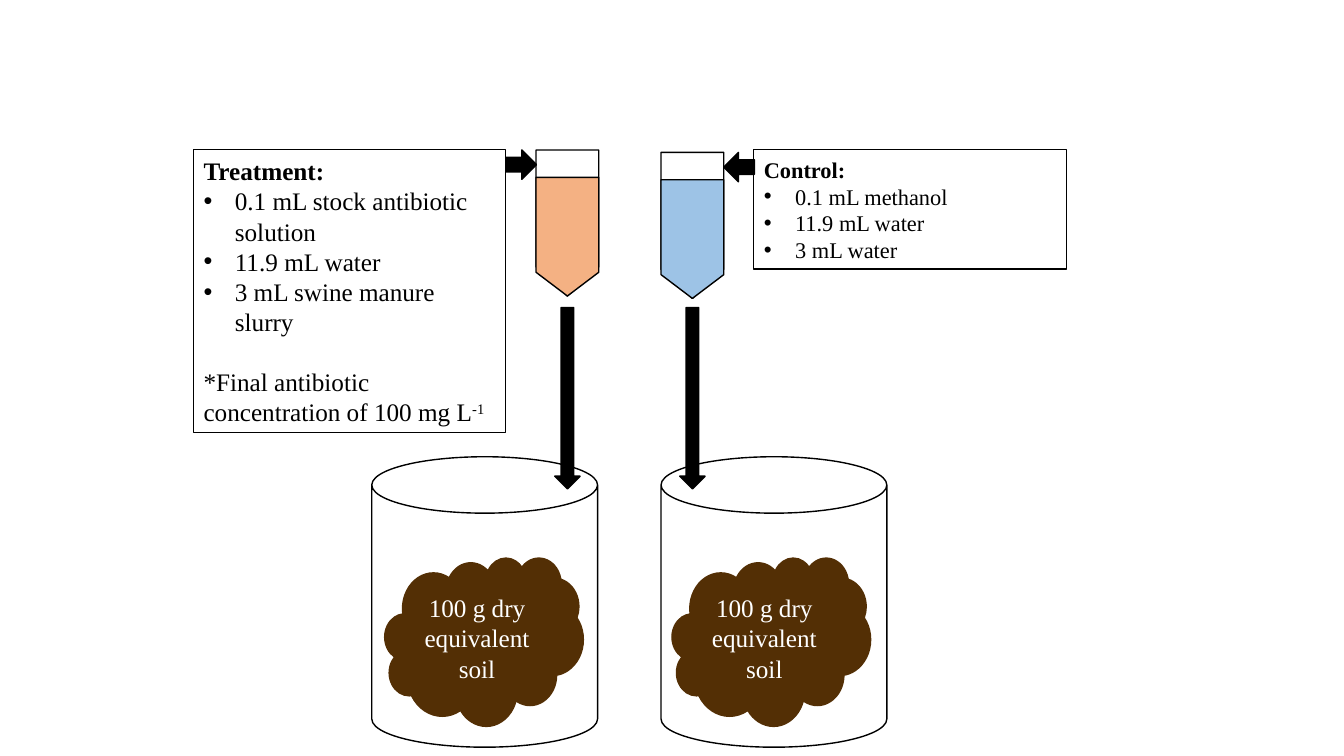
from dataclasses import dataclass

from lxml import etree
from pptx import Presentation
from pptx.dml.color import RGBColor
from pptx.enum.shapes import MSO_SHAPE
from pptx.enum.text import MSO_ANCHOR, MSO_AUTO_SIZE, PP_ALIGN
from pptx.oxml.ns import qn
from pptx.util import Cm, Pt

CAN, CLOUD, RECT = MSO_SHAPE.CAN, MSO_SHAPE.CLOUD, MSO_SHAPE.RECTANGLE
TUBE = MSO_SHAPE.FLOWCHART_OFFPAGE_CONNECTOR
RIGHT_ARROW, DOWN_ARROW = MSO_SHAPE.RIGHT_ARROW, MSO_SHAPE.DOWN_ARROW
MIDDLE, FIT_SHAPE = MSO_ANCHOR.MIDDLE, MSO_AUTO_SIZE.SHAPE_TO_FIT_TEXT
LEFT, CENTER = PP_ALIGN.LEFT, PP_ALIGN.CENTER


@dataclass(frozen=True)
class Theme:
    font: str = "Times New Roman"
    black: str = "000000"
    white: str = "FFFFFF"
    soil: str = "532F05"
    treatment: str = "F4B183"
    control: str = "9DC3E6"
    large: int = 18
    small: int = 16
    outline: float = 1
    box_outline: float = 0.75
    note_gap: int = 21


class Diagram:
    def __init__(self, slide, theme):
        self.slide, self.theme = slide, theme

    def shape(self, kind, left, top, width, height, fill, line=None, weight=None):
        shape = self.slide.shapes.add_shape(
            kind, Cm(left), Cm(top), Cm(width), Cm(height))
        shape.shadow.inherit = False
        shape.fill.solid()
        shape.fill.fore_color.rgb = RGBColor.from_string(fill)
        shape.line.color.rgb = RGBColor.from_string(line or self.theme.black)
        shape.line.width = Pt(weight or self.theme.outline)
        return shape

    def label(self, shape, lines, size, color, align, bullets=()):
        """Add one paragraph per line and return the paragraphs."""
        frame = shape.text_frame
        frame.word_wrap = True
        frame.vertical_anchor = MIDDLE
        for index, line in enumerate(lines):
            paragraph = frame.add_paragraph() if index else frame.paragraphs[0]
            paragraph.add_run().text = line
            paragraph.alignment = align
            if index in bullets:
                self.bullet(paragraph)
            paragraph.font.name = self.theme.font
            paragraph.font.size = Pt(size)
            paragraph.font.color.rgb = RGBColor.from_string(color)
        return frame.paragraphs

    def bullet(self, paragraph):
        properties = paragraph._p.get_or_add_pPr()
        properties.set("marL", str(Cm(0.79)))
        properties.set("indent", str(-Cm(0.79)))
        etree.SubElement(properties, qn("a:buFont"), typeface="Arial")
        etree.SubElement(properties, qn("a:buChar"), char="•")

    def beaker(self, left, soil_left):
        theme = self.theme
        self.shape(CAN, left, 11.51, 5.69, 7.32, theme.white)
        soil = self.shape(CLOUD, soil_left, 14.05, 5, 4.24, theme.soil, theme.soil)
        self.label(soil, ["100 g dry equivalent", "soil"],
                   theme.large, theme.white, CENTER)

    def tube(self, left, top, liquid):
        self.shape(TUBE, left, top, 1.58, 3.68, self.theme.white)
        self.shape(TUBE, left, top + 0.69, 1.58, 2.99, liquid)
        # Pouring arrow below the tip
        self.shape(DOWN_ARROW, left + 0.47, 7.75, 0.64, 4.57, self.theme.black)

    def recipe(self, left, height, heading, items, size, note=None):
        theme = self.theme
        box = self.shape(RECT, left, 3.78, 7.87, height, theme.white,
                         weight=theme.box_outline)
        lines = [heading, *items] + ([note[0]] if note else [])
        paragraphs = self.label(box, lines, size, theme.black, LEFT,
                                range(1, len(items) + 1))
        box.text_frame.auto_size = FIT_SHAPE
        paragraphs[0].font.bold = True
        if note:
            paragraphs[-1].space_before = Pt(theme.note_gap)
            exponent = paragraphs[-1].add_run()
            exponent.text = note[1]
            exponent._r.get_or_add_rPr().set("baseline", "30000")

    def feed_arrow(self, left, top, rotation=0):
        arrow = self.shape(RIGHT_ARROW, left, top, 0.77, 0.74, self.theme.black)
        arrow.rotation = rotation


def main():
    presentation = Presentation()
    presentation.slide_width, presentation.slide_height = Cm(33.87), Cm(19.05)
    theme = Theme()
    slide = presentation.slides.add_slide(presentation.slide_layouts[6])
    diagram = Diagram(slide, theme)

    # Treatment arm
    diagram.beaker(9.37, 9.7)
    diagram.tube(13.51, 3.78, theme.treatment)
    diagram.recipe(
        4.88, 7.11, "Treatment:",
        ["0.1 mL stock antibiotic solution", "11.9 mL water",
         "3 mL swine manure slurry"],
        theme.large, ("*Final antibiotic concentration of 100 mg L", "-1"))
    diagram.feed_arrow(12.75, 3.78)

    # Control arm
    diagram.beaker(16.66, 16.94)
    diagram.tube(16.66, 3.84, theme.control)
    diagram.recipe(
        19, 3, "Control:",
        ["0.1 mL methanol", "11.9 mL water", "3 mL water"], theme.small)
    diagram.feed_arrow(18.24, 3.84, 180)

    presentation.save("out.pptx")


if __name__ == "__main__":
    main()
